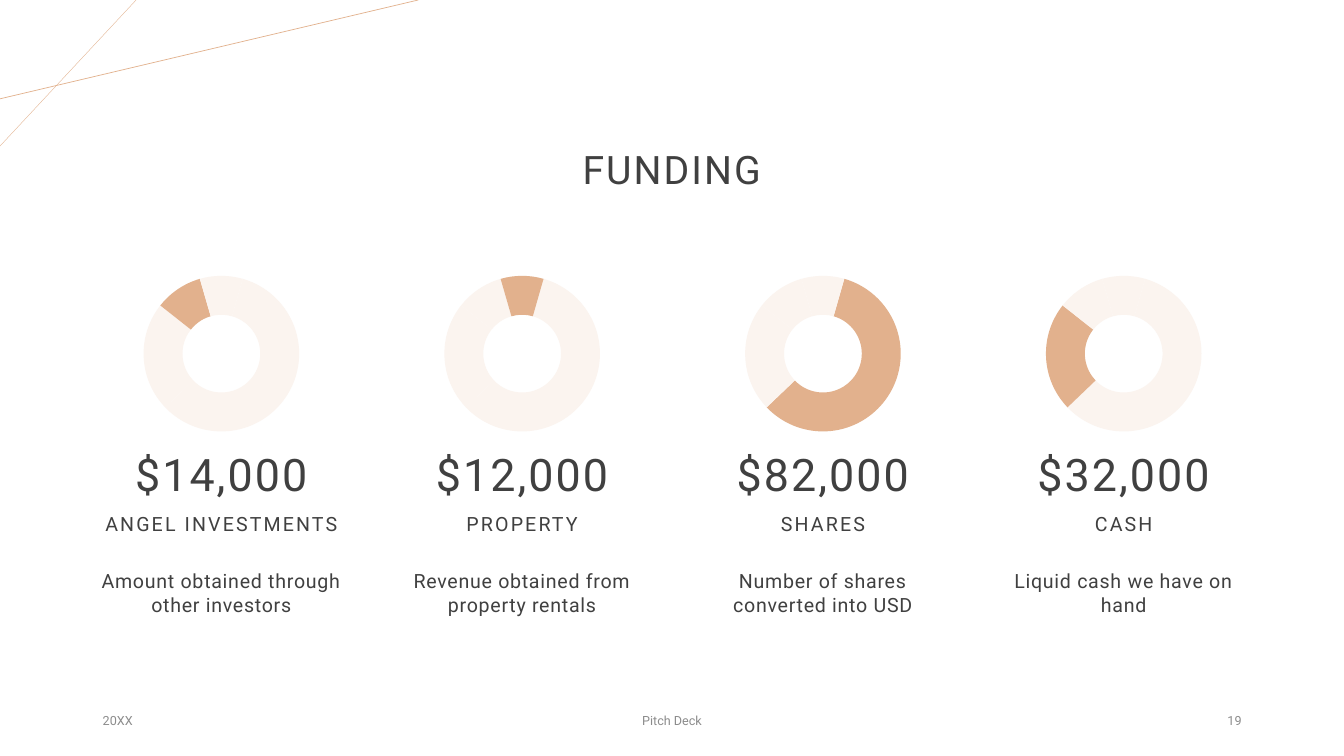
from lxml import etree
from pptx import Presentation
from pptx import util as u
from pptx.chart.data import CategoryChartData
from pptx.dml.color import RGBColor
from pptx.enum import chart as ch, shapes, text
from pptx.oxml import parse_xml
from pptx.oxml.ns import nsdecls, qn

FONT = "Roboto"
DARK, GREY, TAN, PALE = "404040", "8C8C8C", "E2B18D", "FBF4EF"
LEFT, MID, RIGHT = text.PP_ALIGN.LEFT, text.PP_ALIGN.CENTER, text.PP_ALIGN.RIGHT
TOP, CENTER, BASE = (text.MSO_ANCHOR.TOP, text.MSO_ANCHOR.MIDDLE,
                     text.MSO_ANCHOR.BOTTOM)

START, PITCH, WIDTH = 2.34, 7.58, 6.48
SHARES = (59, 23, 10, 9)
# amount, label, note, index of the highlighted slice
FUNDS = [
    ("$14,000", "ANGEL INVESTMENTS", "Amount obtained through other investors", 2),
    ("$12,000", "PROPERTY", "Revenue obtained from property rentals", 3),
    ("$82,000", "SHARES", "Number of shares converted into USD", 0),
    ("$32,000", "CASH", "Liquid cash we have on hand", 1),
]


def paint(color, code):
    color.rgb = RGBColor.from_string(code)


def add_line(slide, start, end, width):
    line = slide.shapes.add_connector(
        shapes.MSO_CONNECTOR.STRAIGHT, *map(u.Cm, start + end))
    paint(line.line.color, TAN)
    line.line.width = u.Pt(width)
    etree.SubElement(line._element.spPr, qn("a:effectLst"))


def add_text(slide, words, box, size, code=DARK, align=MID, anchor=CENTER,
             gap=0, lead=1.0, before=0, inset=0.25):
    """Add one paragraph; gap is the letter spacing in points."""
    frame = slide.shapes.add_textbox(*map(u.Cm, box)).text_frame
    frame.word_wrap = True
    frame.vertical_anchor = anchor
    frame.margin_left = frame.margin_right = u.Cm(inset)
    par = frame.paragraphs[0]
    par.alignment = align
    par.line_spacing = lead
    par.space_before = u.Pt(before)
    run = par.add_run()
    run.text = words
    run.font.name = FONT
    run.font.size = u.Pt(size)
    paint(run.font.color, code)
    if gap:
        run._r.get_or_add_rPr().set("spc", str(int(gap * 100)))


def add_ring(slide, left, pick):
    """Add a doughnut chart with slice number pick highlighted."""
    data = CategoryChartData()
    data.categories = ["1", "2", "3", "4"]
    data.add_series("Series 1", SHARES)
    ring = slide.shapes.add_chart(
        ch.XL_CHART_TYPE.DOUGHNUT, u.Cm(left), u.Cm(6.58), u.Cm(5.16),
        u.Cm(4.62), data).chart
    ring.has_legend = ring.has_title = False
    ring.font.name = FONT
    ring.font.size = u.Pt(10)
    paint(ring.font.color, "000000")
    plot = ring.plots[0]
    plot.vary_by_categories = False
    for i in range(len(SHARES)):
        form = plot.series[0].points[i].format
        form.fill.solid()
        paint(form.fill.fore_color, TAN if i == pick else PALE)
        form.line.fill.background()
    root = ring._chartSpace
    for tag, value in (("c:firstSliceAng", 16), ("c:holeSize", 80)):
        for old in root.findall(".//" + qn(tag)):
            old.getparent().remove(old)
        etree.SubElement(plot._element, qn(tag)).set("val", str(value))
    set_area(root.find(".//" + qn("c:plotArea")))


def set_area(area):
    """Centre the ring in its frame at a fixed size."""
    for old in area.findall(qn("c:layout")):
        area.remove(old)
    spots = (("x", 0.12), ("y", 0.08), ("w", 0.76), ("h", 0.85))
    parts = "".join(f'<c:{key} val="{val}"/>' for key, val in spots)
    area.insert(0, parse_xml(
        f'<c:layout {nsdecls("c")}><c:manualLayout>'
        '<c:layoutTarget val="inner"/><c:xMode val="edge"/>'
        f'<c:yMode val="edge"/>{parts}</c:manualLayout></c:layout>'))


def add_fund(slide, left, amount, label, note, pick):
    add_ring(slide, left + 0.66, pick)
    head = dict(anchor=BASE, gap=1.5, lead=0.9, before=10, inset=0)
    add_text(slide, amount, (left, 10.52, WIDTH, 2.24), 32, **head)
    add_text(slide, label, (left, 12.4, WIDTH, 1.22), 14, **head)
    add_text(slide, note, (left, 14.22, WIDTH, 2.36), 14, anchor=TOP,
             gap=0.5, before=10, inset=0)


def main():
    deck = Presentation()
    deck.slide_width, deck.slide_height = u.Cm(33.87), u.Cm(19.05)
    slide = deck.slides.add_slide(deck.slide_layouts[6])
    add_line(slide, (3.43, 0), (0, 3.68), 0.25)
    add_line(slide, (10.54, 0), (0, 2.49), 0.5)
    add_text(slide, "FUNDING", (5.23, 2.49, 23.4, 3.68), 28, gap=1.5, lead=0.9)
    for i, fund in enumerate(FUNDS):
        add_fund(slide, START + i * PITCH, *fund)
    for words, left, width, align in (("20XX", 2.34, 7.62, LEFT),
                                      ("Pitch Deck", 11.22, 11.43, MID),
                                      ("19", 23.92, 7.62, RIGHT)):
        add_text(slide, words, (left, 17.66, width, 1.01), 9, GREY, align)
    deck.save("out.pptx")


if __name__ == "__main__":
    main()
